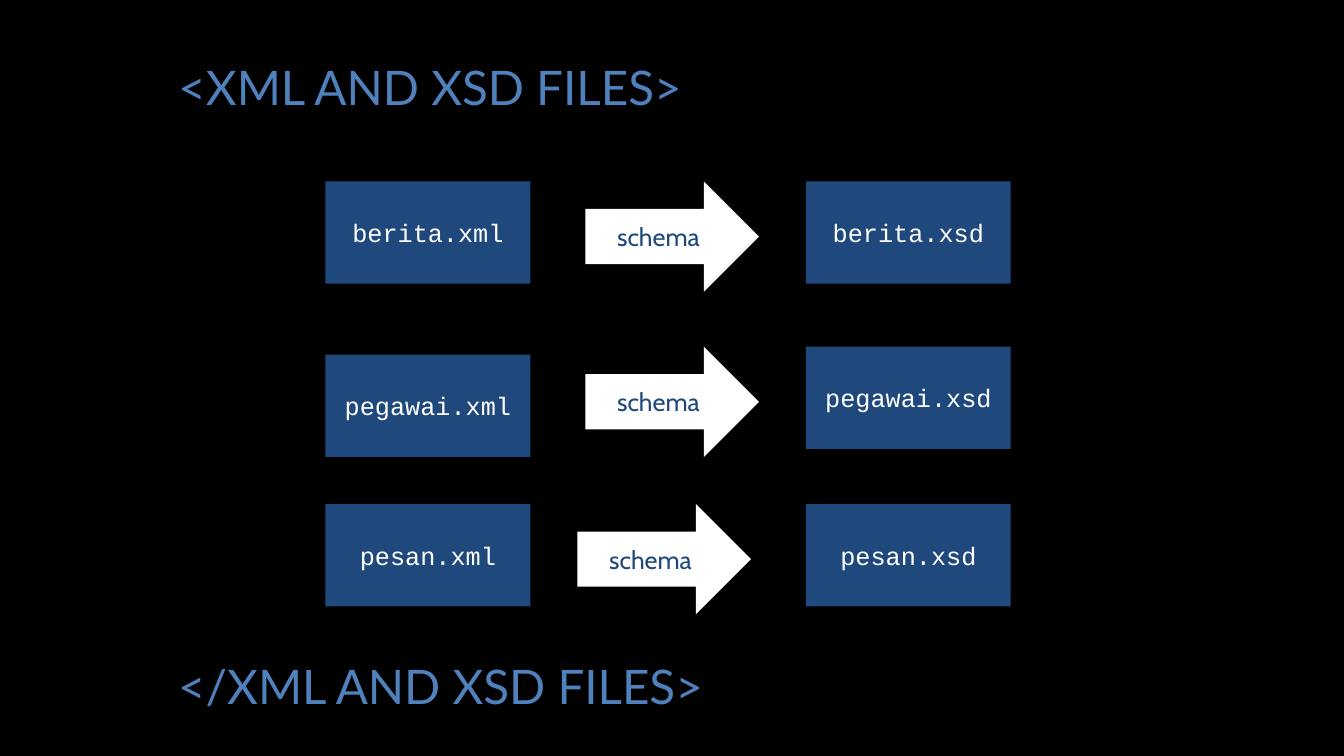
from pptx import Presentation
from pptx.dml.color import RGBColor
from pptx.enum import shapes, text
from pptx.util import Pt

# Content: source file, schema file, and the top of each row's three parts
OPENING = "<XML AND XSD FILES>"
CLOSING = "</XML AND XSD FILES>"
ARROW_LABEL = "schema"
ROWS = [
    {"xml": "berita.xml", "xsd": "berita.xsd", "tops": (129.6, 129.6, 129.6), "arrow_left": 418.2},
    {"xml": "pegawai.xml", "xsd": "pegawai.xsd", "tops": (253.3, 247.6, 247.6), "arrow_left": 418.2},
    {"xml": "pesan.xml", "xsd": "pesan.xsd", "tops": (360, 360, 360), "arrow_left": 412.5},
]

COLORS = {"black": "000000", "heading": "4F81BD", "navy": "1F497D", "white": "FFFFFF"}
HEADING_LEFT, HEADING_WIDTH, HEADING_HEIGHT = 120.2, 720, 58.3
OPENING_TOP, CLOSING_TOP = 28, 456
XML_LEFT, XSD_LEFT = 232.5, 575.7
FILE_SIZE = (146.3, 73.1)
ARROW_SIZE = (124, 78.8)


def color(name):
    return RGBColor.from_string(COLORS[name])


def style_heading(box, wording, top):
    box.left, box.top = Pt(HEADING_LEFT), Pt(top)
    box.width, box.height = Pt(HEADING_WIDTH), Pt(HEADING_HEIGHT)
    frame = box.text_frame
    frame.text = wording
    frame.word_wrap = True
    frame.auto_size = text.MSO_AUTO_SIZE.NONE
    frame.vertical_anchor = text.MSO_ANCHOR.BOTTOM
    para = frame.paragraphs[0]
    para.alignment = text.PP_ALIGN.LEFT
    para.line_spacing = 0.9
    para.font.name, para.font.size = "Lato", Pt(34)
    para.font.color.rgb = color("heading")


def add_block(page, kind, label, left, top, size, fill, ink, font):
    block = page.shapes.add_shape(kind, Pt(left), Pt(top), Pt(size[0]), Pt(size[1]))
    block.shadow.inherit = False
    block.fill.solid()
    block.fill.fore_color.rgb = color(fill)
    block.line.fill.background()
    frame = block.text_frame
    frame.text = label
    frame.vertical_anchor = text.MSO_ANCHOR.MIDDLE
    para = frame.paragraphs[0]
    para.alignment = text.PP_ALIGN.CENTER
    para.font.name, para.font.size = font, Pt(18)
    para.font.color.rgb = color(ink)


def main():
    deck = Presentation()
    deck.slide_width, deck.slide_height = Pt(960), Pt(540)
    page = deck.slides.add_slide(deck.slide_layouts[5])
    page.background.fill.solid()
    page.background.fill.fore_color.rgb = color("black")

    # Opening and closing tags
    style_heading(page.shapes.title, OPENING, OPENING_TOP)
    style_heading(page.shapes.add_textbox(0, 0, 0, 0), CLOSING, CLOSING_TOP)

    # One row per file: source, arrow, schema
    kinds = shapes.MSO_SHAPE
    for row in ROWS:
        xml_top, arrow_top, xsd_top = row["tops"]
        for label, left, top in ((row["xml"], XML_LEFT, xml_top), (row["xsd"], XSD_LEFT, xsd_top)):
            add_block(page, kinds.RECTANGLE, label, left, top, FILE_SIZE,
                      "navy", "white", "Courier New")
        add_block(page, kinds.RIGHT_ARROW, ARROW_LABEL, row["arrow_left"], arrow_top,
                  ARROW_SIZE, "white", "navy", "Cabin")

    deck.save("out.pptx")


if __name__ == "__main__":
    main()
